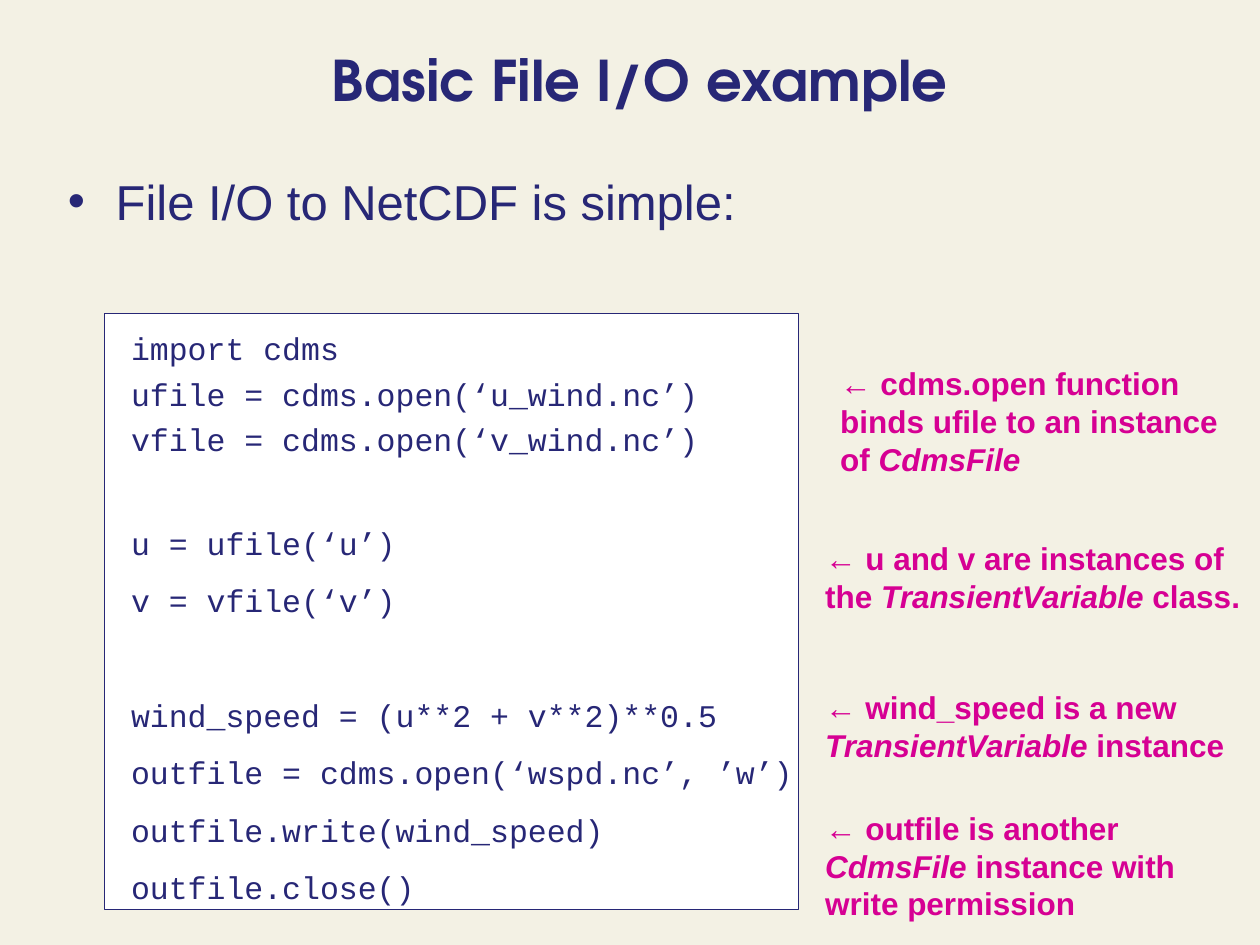
from pptx import Presentation
from pptx.dml.color import RGBColor
from pptx.enum.shapes import MSO_SHAPE
from pptx.enum.text import MSO_ANCHOR, MSO_AUTO_SIZE, PP_ALIGN
from pptx.oxml import parse_xml
from pptx.oxml.ns import nsdecls
from pptx.util import Inches, Pt

COLORS = {"paper": "F3F1E4", "ink": "272776", "note": "D60093", "code": "FFFFFF"}

CODE = [
    ("import cdms", 0),
    ("ufile = cdms.open(‘u_wind.nc’)", 4.5),
    ("vfile = cdms.open(‘v_wind.nc’)", 4.5),
    ("u = ufile(‘u’)", 37.5),
    ("v = vfile(‘v’)", 11.2),
    ("wind_speed = (u**2 + v**2)**0.5", 44),
    ("outfile = cdms.open(‘wspd.nc’, ’w’)", 11.2),
    ("outfile.write(wind_speed)", 11.2),
    ("outfile.close()", 11.2),
]

NOTES = [
    (6.57, 2.84, 1, ["← cdms.open function binds ufile to an instance of ", "CdmsFile"]),
    (6.45, 4.23, 0.7, ["← u and v are instances of the ", "TransientVariable", " class."]),
    (6.45, 5.41, 0.7, ["← wind_speed is a new ", "TransientVariable", " instance"]),
    (6.45, 6.37, 1, ["← outfile is another ", "CdmsFile ", "instance with write permission"]),
]


def color(name):
    """Return a palette colour."""
    return RGBColor.from_string(COLORS[name])


def style(paragraph, size, font_name, color_name, bold=False):
    """Set the font of a whole paragraph."""
    font = paragraph.font
    font.size, font.name, font.bold = Pt(size), font_name, bold
    font.color.rgb = color(color_name)


def add_panel(slide, left, top, width, height, fill):
    """Add a plain filled rectangle with top-left text."""
    shape = slide.shapes.add_shape(
        MSO_SHAPE.RECTANGLE, Inches(left), Inches(top), Inches(width), Inches(height))
    shape.shadow.inherit = False
    shape.fill.solid()
    shape.fill.fore_color.rgb = color(fill)
    shape.line.fill.background()
    shape.text_frame.word_wrap = True
    shape.text_frame.vertical_anchor = MSO_ANCHOR.TOP
    return shape


def format_title(slide, text):
    """Place and fill the title placeholder."""
    title = slide.shapes.title
    title.left, title.top = Inches(0.83), Inches(0)
    title.width, title.height = Inches(8.5), Inches(1.25)
    title.text_frame.text = text
    title.text_frame.vertical_anchor = MSO_ANCHOR.MIDDLE
    paragraph = title.text_frame.paragraphs[0]
    paragraph.alignment = PP_ALIGN.CENTER
    style(paragraph, 32, "TeX Gyre Adventor", "ink", bold=True)


def add_bullet(slide, text):
    """Add the bulleted lead sentence."""
    box = slide.shapes.add_textbox(Inches(0.44), Inches(1.31), Inches(7.55), Inches(0.6))
    box.text_frame.word_wrap = True
    paragraph = box.text_frame.paragraphs[0]
    paragraph.text = text
    properties = paragraph._p.get_or_add_pPr()
    properties.set("marL", str(Inches(0.38)))
    properties.set("indent", str(-Inches(0.38)))
    properties.append(parse_xml(f'<a:buFont {nsdecls("a")} typeface="Arial"/>'))
    properties.append(parse_xml(f'<a:buChar {nsdecls("a")} char="•"/>'))
    style(paragraph, 28, "Arial", "ink")


def add_code(slide, lines):
    """Add the outlined code panel, one paragraph a line."""
    panel = add_panel(slide, 0.83, 2.49, 5.51, 4.73, "code")
    panel.line.color.rgb = color("ink")
    panel.line.width = Pt(0.75)
    frame = panel.text_frame
    frame.margin_left, frame.margin_top = Inches(0.21), Inches(0.12)
    frame.margin_right = frame.margin_bottom = 0
    for index, (text, gap) in enumerate(lines):
        paragraph = frame.add_paragraph() if index else frame.paragraphs[0]
        paragraph.text = text
        paragraph.alignment = PP_ALIGN.LEFT
        paragraph.space_before = Pt(gap)
        style(paragraph, 18, "Courier New", "ink")


def add_note(slide, left, top, height, parts):
    """Add a note reaching the slide's right edge, every second part italic."""
    panel = add_panel(slide, left, top, 10 - left, height, "paper")
    panel.text_frame.auto_size = MSO_AUTO_SIZE.SHAPE_TO_FIT_TEXT
    paragraph = panel.text_frame.paragraphs[0]
    paragraph.alignment = PP_ALIGN.LEFT
    style(paragraph, 18, "Arial", "note", bold=True)
    for index, text in enumerate(parts):
        run = paragraph.add_run()
        run.text = text
        run.font.italic = index % 2 == 1


def main():
    """Build and save the slide."""
    presentation = Presentation()
    presentation.slide_width, presentation.slide_height = Inches(10), Inches(7.5)
    slide = presentation.slides.add_slide(presentation.slide_layouts[5])
    slide.background.fill.solid()
    slide.background.fill.fore_color.rgb = color("paper")
    format_title(slide, "Basic File I/O example")
    add_bullet(slide, "File I/O to NetCDF is simple:")
    add_code(slide, CODE)
    for note in NOTES:
        add_note(slide, *note)
    presentation.save("out.pptx")


if __name__ == "__main__":
    main()
